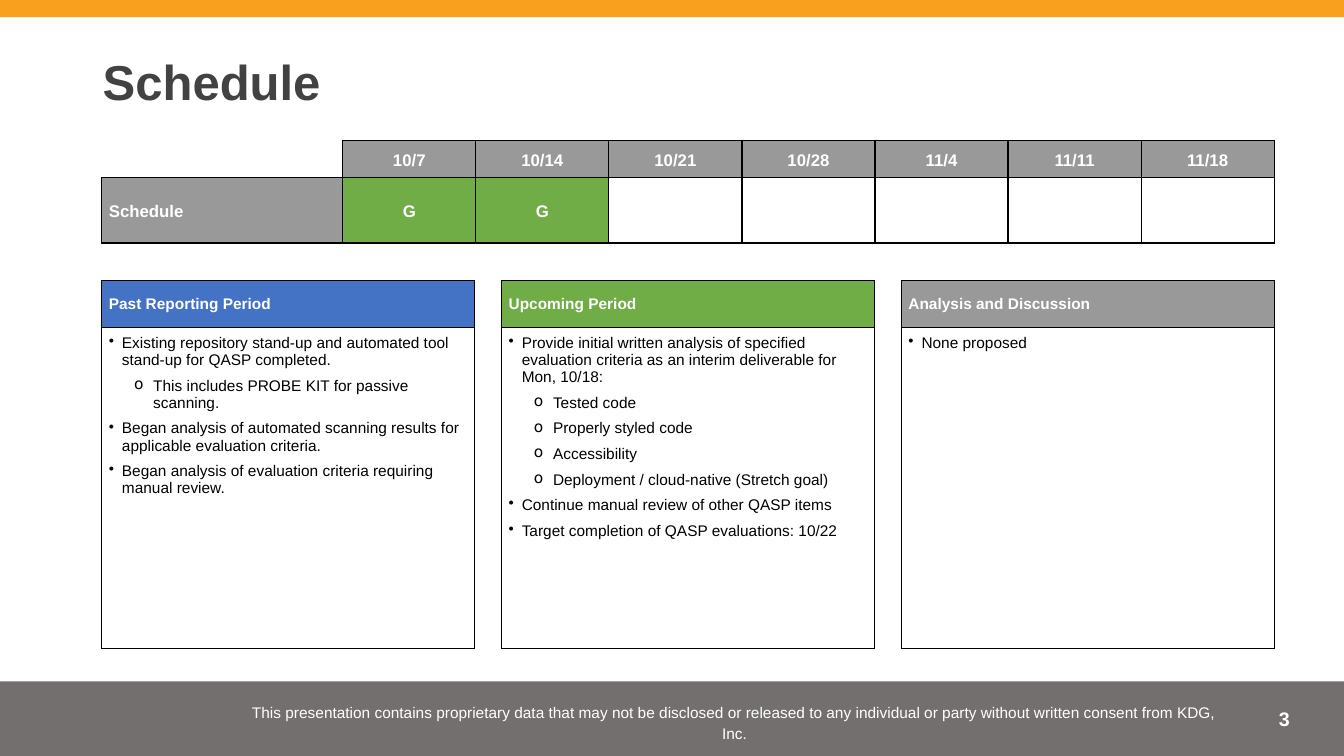
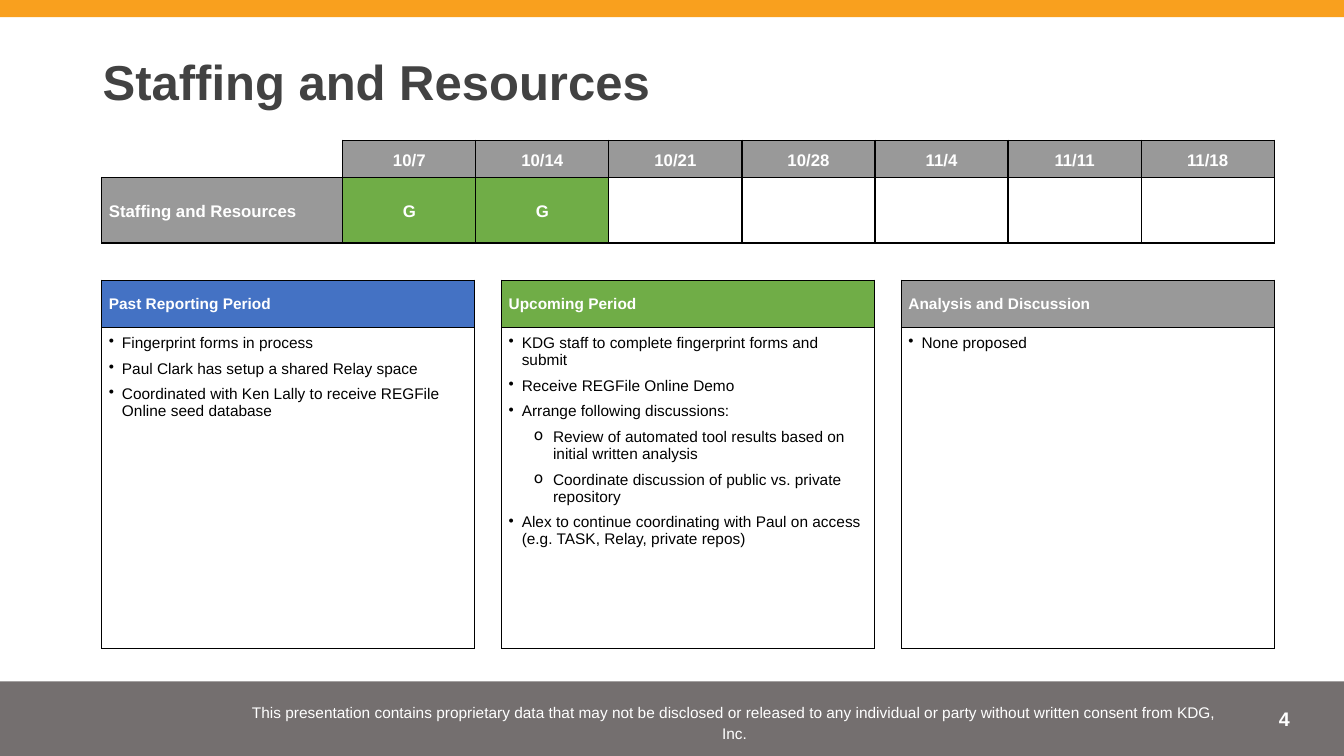
import lxml.etree
import pptx
import pptx.dml.color
import pptx.enum.shapes
import pptx.enum.text
import pptx.oxml.ns
import pptx.util

Inches = pptx.util.Inches
ALIGN = pptx.enum.text.PP_ALIGN
ANCHOR = pptx.enum.text.MSO_ANCHOR

THEME = {
    "font": "Arial",
    "orange": "F9A01E",
    "footer": "4F4949",
    "footer_opacity": 79,
    "title": "424242",
    "white": "FFFFFF",
    "black": "000000",
    "gray": "999999",
    "green": "70AD47",
    "blue": "4472C4",
    "title_size": 35,
    "number_size": 14,
    "status_size": 12,
    "body_size": 11,
}

FOOTER = (
    "This presentation contains proprietary data that may not be disclosed or released "
    "to any individual or party without written consent from KDG, Inc."
)
DATES = ["10/7", "10/14", "10/21", "10/28", "11/4", "11/11", "11/18"]
RATINGS = ["G", "G", "", "", "", "", ""]
PANELS = [
    ("Past Reporting Period", "blue"),
    ("Upcoming Period", "green"),
    ("Analysis and Discussion", "gray"),
]
BULLETS = [("•", 0.13, 0.13), ("o", 0.44, 0.19)]

REPORTS = [
    (
        "Schedule",
        [
            [
                (0, "Existing repository stand-up and automated tool stand-up for QASP completed."),
                (1, "This includes PROBE KIT for passive scanning."),
                (0, "Began analysis of automated scanning results for applicable evaluation criteria."),
                (0, "Began analysis of evaluation criteria requiring manual review."),
            ],
            [
                (0, "Provide initial written analysis of specified evaluation criteria "
                    "as an interim deliverable for Mon, 10/18:"),
                (1, "Tested code"),
                (1, "Properly styled code"),
                (1, "Accessibility"),
                (1, "Deployment / cloud-native (Stretch goal)"),
                (0, "Continue manual review of other QASP items"),
                (0, "Target completion of QASP evaluations: 10/22"),
            ],
            [(0, "None proposed")],
        ],
    ),
    (
        "Staffing and Resources",
        [
            [
                (0, "Fingerprint forms in process"),
                (0, "Paul Clark has setup a shared Relay space"),
                (0, "Coordinated with Ken Lally to receive REGFile Online seed database"),
            ],
            [
                (0, "KDG staff to complete fingerprint forms and submit"),
                (0, "Receive REGFile Online Demo"),
                (0, "Arrange following discussions:"),
                (1, "Review of automated tool results based on initial written analysis"),
                (1, "Coordinate discussion of public vs. private repository"),
                (0, "Alex to continue coordinating with Paul on access (e.g. TASK, Relay, private repos)"),
            ],
            [(0, "None proposed")],
        ],
    ),
]

LEFT = 1.01
CONTENT_WIDTH = 11.63
LABEL_WIDTH = 2.39
DATE_WIDTH = 1.32
PANEL_WIDTH = 3.7
PANEL_PITCH = (CONTENT_WIDTH - PANEL_WIDTH) / (len(PANELS) - 1)


def style_paragraph(paragraph, size, color, bold=False, align=ALIGN.LEFT, spacing=1.0):
    paragraph.alignment = align
    paragraph.line_spacing = spacing
    for run in paragraph.runs:
        run.font.name = THEME["font"]
        run.font.size = pptx.util.Pt(THEME[size])
        run.font.bold = bold
        run.font.color.rgb = pptx.dml.color.RGBColor.from_string(THEME[color])
    if not paragraph.runs:
        paragraph._p.get_or_add_endParaRPr().set("sz", str(THEME[size] * 100))


def style_cell(cell, fill=None, sides="LRTB", anchor=ANCHOR.MIDDLE):
    cell.margin_left = cell.margin_right = Inches(0.07)
    cell.margin_top = cell.margin_bottom = Inches(0.07)
    cell.vertical_anchor = anchor
    properties = cell._tc.get_or_add_tcPr()
    for side in "LRTB":
        line = lxml.etree.SubElement(properties, pptx.oxml.ns.qn("a:ln" + side), w="12700")
        if side in sides:
            line_fill = lxml.etree.SubElement(line, pptx.oxml.ns.qn("a:solidFill"))
            lxml.etree.SubElement(line_fill, pptx.oxml.ns.qn("a:srgbClr"), val=THEME["black"])
        else:
            lxml.etree.SubElement(line, pptx.oxml.ns.qn("a:noFill"))
    if fill:
        cell.fill.solid()
        cell.fill.fore_color.rgb = pptx.dml.color.RGBColor.from_string(THEME[fill])
    else:
        cell.fill.background()


presentation = pptx.Presentation()
presentation.slide_width = Inches(13.33)
presentation.slide_height = Inches(7.5)

for number, (title, panel_items) in enumerate(REPORTS, start=3):
    slide = presentation.slides.add_slide(presentation.slide_layouts[6])

    for top, height, color, opacity in [
        (6.76, 0.74, "footer", THEME["footer_opacity"]),
        (0, 0.17, "orange", 100),
    ]:
        band = slide.shapes.add_shape(
            pptx.enum.shapes.MSO_SHAPE.RECTANGLE,
            0, Inches(top), presentation.slide_width, Inches(height),
        )
        band.shadow.inherit = False
        band.line.fill.background()
        band.fill.solid()
        band.fill.fore_color.rgb = pptx.dml.color.RGBColor.from_string(THEME[color])
        if opacity < 100:
            color_element = band._element.spPr.find(".//" + pptx.oxml.ns.qn("a:srgbClr"))
            lxml.etree.SubElement(
                color_element, pptx.oxml.ns.qn("a:alpha"), val=str(opacity * 1000)
            )

    for text, box, inset, anchor, style in [
        (str(number), (11.81, 6.96, 1.08, 0.4), 0.05, ANCHOR.TOP,
         ("number_size", "white", True, ALIGN.RIGHT)),
        (FOOTER, (2.27, 6.89, 10.03, 0.53), 0.1, ANCHOR.MIDDLE,
         ("body_size", "white", False, ALIGN.CENTER, 1.15)),
        (title, (0.92, 0.46, 11.5, 0.77), 0.1, ANCHOR.MIDDLE,
         ("title_size", "title", True, ALIGN.LEFT, 0.9)),
    ]:
        text_frame = slide.shapes.add_textbox(*map(Inches, box)).text_frame
        text_frame.word_wrap = True
        text_frame.vertical_anchor = anchor
        text_frame.margin_left = text_frame.margin_right = Inches(0.1)
        text_frame.margin_top = text_frame.margin_bottom = Inches(inset)
        text_frame.text = text
        style_paragraph(text_frame.paragraphs[0], *style)

    status_table = slide.shapes.add_table(
        2, len(DATES) + 1, Inches(LEFT), Inches(1.39), Inches(CONTENT_WIDTH), Inches(1.01)
    ).table
    status_table.first_row = status_table.horz_banding = False
    status_table.rows[0].height = Inches(0.36)
    status_table.rows[1].height = Inches(0.65)
    for row, texts in enumerate([[""] + DATES, [title] + RATINGS]):
        for column, text in enumerate(texts):
            status_table.columns[column].width = Inches(DATE_WIDTH if column else LABEL_WIDTH)
            cell = status_table.cell(row, column)
            cell.text_frame.text = text
            fill = ("green" if text == "G" else "gray") if text else None
            style_cell(cell, fill, "LRTB" if row or column else "RB")
            style_paragraph(
                cell.text_frame.paragraphs[0], "status_size", "white", True,
                ALIGN.CENTER if column else ALIGN.LEFT, 1.15,
            )

    for index, ((heading, color), items) in enumerate(zip(PANELS, panel_items)):
        panel = slide.shapes.add_table(
            2, 1, Inches(LEFT + index * PANEL_PITCH), Inches(2.78),
            Inches(PANEL_WIDTH), Inches(3.65),
        ).table
        panel.first_row = panel.horz_banding = False
        panel.rows[0].height = Inches(0.47)
        panel.rows[1].height = Inches(3.18)

        heading_cell = panel.cell(0, 0)
        heading_cell.text_frame.text = heading
        style_cell(heading_cell, color)
        style_paragraph(heading_cell.text_frame.paragraphs[0], "body_size", "white", True)

        body_cell = panel.cell(1, 0)
        body_cell.text_frame.text = "\n".join(text for level, text in items)
        style_cell(body_cell, anchor=ANCHOR.TOP)
        for paragraph, (level, text) in zip(body_cell.text_frame.paragraphs, items):
            style_paragraph(paragraph, "body_size", "black")
            paragraph.level = level
            paragraph.space_after = pptx.util.Pt(6)
            character, margin, hanging = BULLETS[level]
            properties = paragraph._p.get_or_add_pPr()
            properties.set("marL", str(Inches(margin)))
            properties.set("indent", str(-Inches(hanging)))
            bullet_color = lxml.etree.SubElement(properties, pptx.oxml.ns.qn("a:buClr"))
            lxml.etree.SubElement(
                bullet_color, pptx.oxml.ns.qn("a:srgbClr"), val=THEME["black"]
            )
            lxml.etree.SubElement(properties, pptx.oxml.ns.qn("a:buChar"), char=character)

presentation.save("out.pptx")
